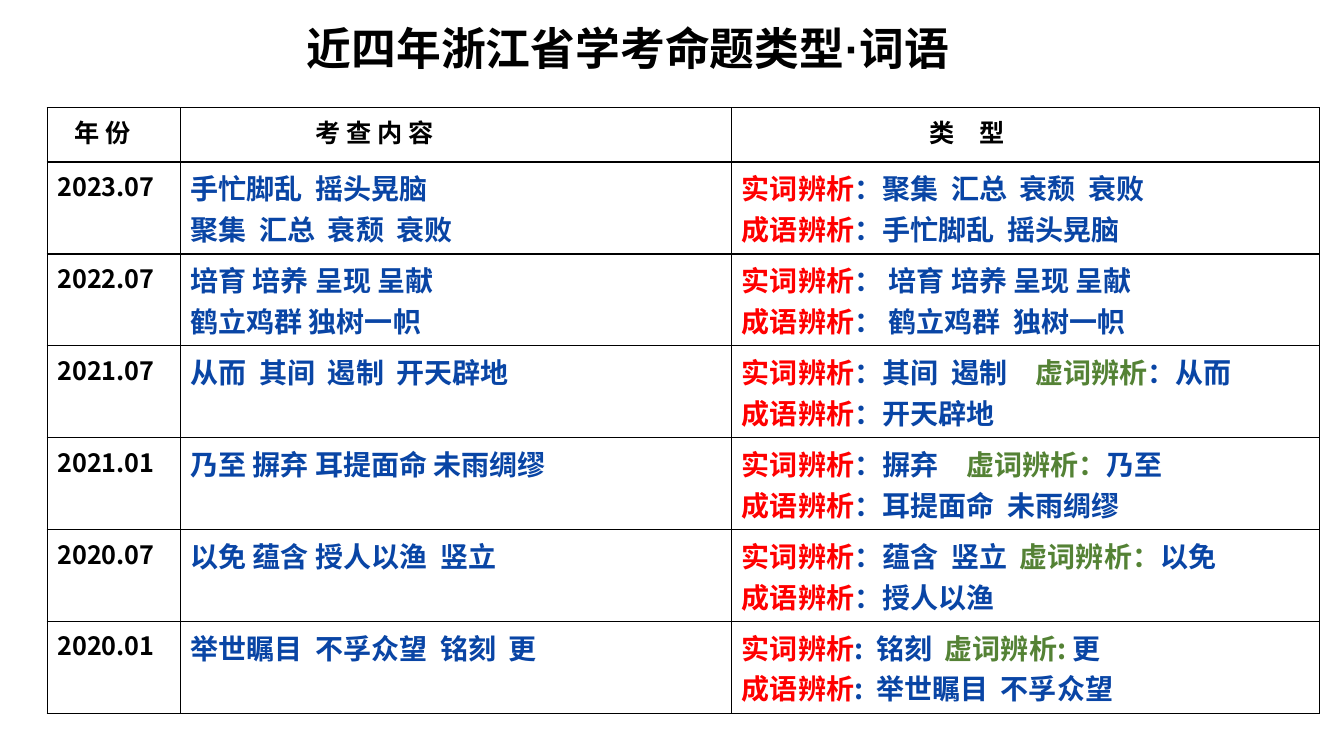
"""Build a slide with a table of vocabulary question types by exam session."""
from dataclasses import dataclass

import lxml.etree
import pptx
import pptx.dml.color
import pptx.enum.text
import pptx.oxml.ns
import pptx.util

Pt = pptx.util.Pt
RGBColor = pptx.dml.color.RGBColor


@dataclass(frozen=True)
class Theme:
    ink: str = "000000"
    paper: str = "FFFFFF"
    word: str = "0945A5"
    label: str = "FF0000"
    function_label: str = "548235"
    latin_font: str = "Arial"
    chinese_font: str = "Noto Sans CJK SC"
    title_size: float = 32
    header_size: float = 18
    body_size: float = 20
    border_width: float = 1
    cell_margin: float = 7.2


THEME = Theme()


@dataclass(frozen=True)
class Segment:
    text: str
    color: str = THEME.word


Line = tuple[Segment, ...]


@dataclass(frozen=True)
class Column:
    heading: str
    width: float
    heading_indent: float


@dataclass(frozen=True)
class Exam:
    session: str
    content: tuple[str, ...]
    notional: Line
    idioms: str


def function_label(text: str) -> Segment:
    return Segment(text, THEME.function_label)


COLUMNS = (
    Column("年 份", 95, 12.5),
    Column("考 查 内 容", 394, 89.5),
    Column("类\u3000型", 420, 134),
)
EXAMS = (
    Exam("2023.07", ("手忙脚乱  摇头晃脑", "聚集  汇总  衰颓  衰败"),
         (Segment("：聚集  汇总  衰颓  衰败"),), "：手忙脚乱  摇头晃脑"),
    Exam("2022.07", ("培育 培养 呈现 呈献", "鹤立鸡群 独树一帜"),
         (Segment("： 培育 培养 呈现 呈献"),), "： 鹤立鸡群  独树一帜"),
    Exam("2021.07", ("从而  其间  遏制  开天辟地",),
         (Segment("：其间  遏制\u3000"), function_label("虚词辨析"), Segment("：从而")),
         "：开天辟地"),
    Exam("2021.01", ("乃至 摒弃 耳提面命 未雨绸缪",),
         (Segment("：摒弃\u3000"), function_label("虚词辨析："), Segment("乃至")),
         "：耳提面命  未雨绸缪"),
    Exam("2020.07", ("以免 蕴含 授人以渔  竖立",),
         (Segment("：蕴含  竖立  "), function_label("虚词辨析："), Segment("以免")),
         "：授人以渔"),
    Exam("2020.01", ("举世瞩目  不孚众望  铭刻  更",),
         (Segment(":  铭刻  "), function_label("虚词辨析: "), Segment("更")),
         ":  举世瞩目  不孚众望"),
)
TABLE_LEFT, TABLE_TOP = 33.8, 77
HEADER_HEIGHT, BODY_HEIGHT = 38.7, 65.7


def add_child(parent, tag: str, **attributes: str):
    child = lxml.etree.SubElement(parent, pptx.oxml.ns.qn(tag))
    for name, value in attributes.items():
        child.set(name, value)
    return child


def format_run(run, size: float, color: str, latin_font: str = THEME.latin_font) -> None:
    run.font.size = Pt(size)
    run.font.bold = True
    run.font.color.rgb = RGBColor.from_string(color)
    run.font.name = latin_font
    add_child(run._r.get_or_add_rPr(), "a:ea", typeface=THEME.chinese_font)


def fill_text(text_frame, lines: list[Line], size: float,
              latin_font: str = THEME.latin_font) -> None:
    text_frame.text = "\n".join("" for _ in lines)
    for paragraph, line in zip(text_frame.paragraphs, lines):
        paragraph.alignment = pptx.enum.text.PP_ALIGN.LEFT
        for segment in line:
            run = paragraph.add_run()
            run.text = segment.text
            format_run(run, size, segment.color, latin_font)


def style_cell(cell) -> None:
    properties = cell._tc.get_or_add_tcPr()
    for side in ("a:lnL", "a:lnR", "a:lnT", "a:lnB"):
        border = add_child(properties, side, w=str(Pt(THEME.border_width)))
        add_child(add_child(border, "a:solidFill"), "a:srgbClr", val=THEME.ink)
    cell.fill.solid()
    cell.fill.fore_color.rgb = RGBColor.from_string(THEME.paper)


def add_title(slide, text: str) -> None:
    title = slide.shapes.title
    title.left, title.top, title.width, title.height = Pt(66), Pt(15), Pt(828), Pt(43)
    text_frame = title.text_frame
    text_frame.auto_size = pptx.enum.text.MSO_AUTO_SIZE.NONE
    text_frame.vertical_anchor = pptx.enum.text.MSO_ANCHOR.MIDDLE
    text_frame.margin_left = Pt(153)
    fill_text(text_frame, [(Segment(text, THEME.ink),)], THEME.title_size)
    text_frame.paragraphs[0].line_spacing = 0.9


def add_exam_table(slide) -> None:
    height = HEADER_HEIGHT + BODY_HEIGHT * len(EXAMS)
    width = sum(column.width for column in COLUMNS)
    table = slide.shapes.add_table(
        len(EXAMS) + 1, len(COLUMNS), Pt(TABLE_LEFT), Pt(TABLE_TOP), Pt(width), Pt(height)
    ).table
    table.horz_banding = False
    for row in table.rows:
        row.height = Pt(BODY_HEIGHT)
    table.rows[0].height = Pt(HEADER_HEIGHT)
    for cell in table.iter_cells():
        style_cell(cell)

    for index, column in enumerate(COLUMNS):
        table.columns[index].width = Pt(column.width)
        cell = table.cell(0, index)
        cell.margin_left = Pt(THEME.cell_margin + column.heading_indent)
        fill_text(cell.text_frame, [(Segment(column.heading, THEME.ink),)], THEME.header_size)

    for index, exam in enumerate(EXAMS, start=1):
        session, content, types = (table.cell(index, column).text_frame for column in range(3))
        fill_text(session, [(Segment(exam.session, THEME.ink),)], THEME.header_size,
                  THEME.chinese_font)
        fill_text(content, [(Segment(words),) for words in exam.content], THEME.body_size,
                  THEME.chinese_font)
        fill_text(types, [
            (Segment("实词辨析", THEME.label), *exam.notional),
            (Segment("成语辨析", THEME.label), Segment(exam.idioms)),
        ], THEME.body_size, THEME.chinese_font)


def main() -> None:
    presentation = pptx.Presentation()
    presentation.slide_width, presentation.slide_height = Pt(960), Pt(540)
    slide = presentation.slides.add_slide(presentation.slide_layouts.get_by_name("Title Only"))
    add_title(slide, "近四年浙江省学考命题类型·词语")
    add_exam_table(slide)
    presentation.save("out.pptx")


main()
